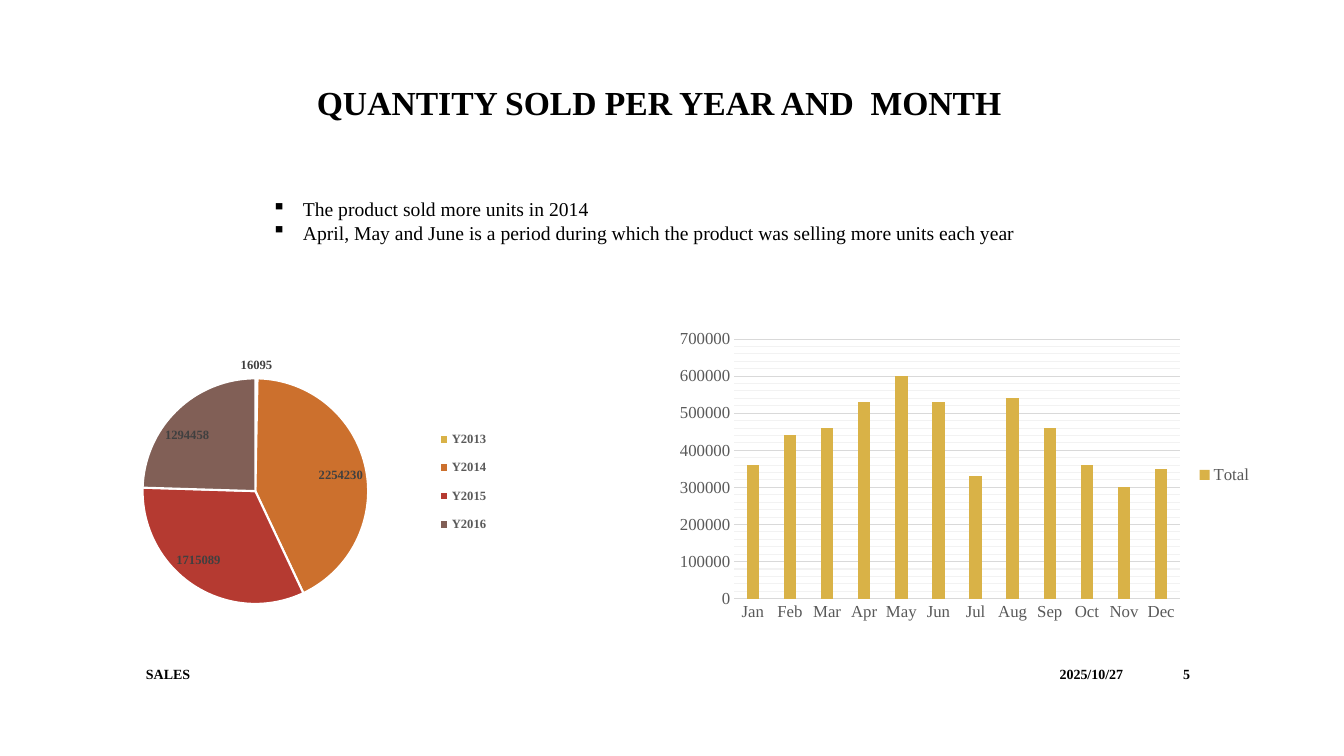
import pptx
import pptx.chart.data
import pptx.dml.color
import pptx.enum.chart
import pptx.enum.text
import pptx.oxml
import pptx.oxml.ns
import pptx.util

FONT = "Times New Roman"
BLACK, GREY, LABEL = "000000", "595959", "404040"
MAJOR, MINOR, WHITE = "D9D9D9", "F2F2F2", "FFFFFF"
GOLD = "D9B247"

TITLE = "QUANTITY SOLD PER YEAR AND  MONTH"
FINDINGS = [
    "The product sold more units in 2014",
    "April, May and June is a period during which the product was selling more units each year",
]
YEARS = [  # year, units, slice colour
    ("Y2013", 16095, GOLD),
    ("Y2014", 2254230, "CC702D"),
    ("Y2015", 1715089, "B53A31"),
    ("Y2016", 1294458, "815F56"),
]
MONTHS = {
    "Jan": 360000, "Feb": 440000, "Mar": 460000, "Apr": 530000,
    "May": 600000, "Jun": 530000, "Jul": 330000, "Aug": 540000,
    "Sep": 460000, "Oct": 360000, "Nov": 300000, "Dec": 350000,
}
FOOTER = [  # text, left, width, right aligned
    ("2025/10/27", 957, 176, True),
    ("SALES", 136, 805, False),
    ("5", 1141, 59, True),
]
FOOTER_TOP, FOOTER_HEIGHT = 658, 31
CHART_WIDTH, CHART_HEIGHT = 594, 302
BULLET_INDENT = 31


def px(length):
    return pptx.util.Emu(round(length * 914400 / 100.8))


def color(value):
    return pptx.dml.color.RGBColor.from_string(value)


def style(font, size, value, bold=False):
    font.name, font.size, font.bold = FONT, pptx.util.Pt(size), bold
    font.color.rgb = color(value)


def stroke(line, value, width=0.75):
    line.color.rgb = color(value)
    line.width = pptx.util.Pt(width)


def add_text(lines, area, size, bold=False, bullet=None):
    box = page.shapes.add_textbox(*map(px, area))
    frame = box.text_frame
    frame.word_wrap = True
    frame.text = "\n".join(lines)
    for para in frame.paragraphs:
        if bullet:
            props = para._p.get_or_add_pPr()
            props.set("marL", str(px(BULLET_INDENT)))
            props.set("indent", str(px(-BULLET_INDENT)))
            mark = pptx.oxml.parse_xml(
                f'<a:buChar {pptx.oxml.ns.nsdecls("a")} char="{bullet}"/>')
            props.append(mark)
        for span in para.runs:
            style(span.font, size, BLACK, bold)
    return frame


def manual_layout(x, y, width, height, inner=False):
    target = '<c:layoutTarget val="inner"/>' if inner else ""
    return pptx.oxml.parse_xml(
        f'<c:layout {pptx.oxml.ns.nsdecls("c")}><c:manualLayout>{target}'
        '<c:xMode val="edge"/><c:yMode val="edge"/>'
        f'<c:x val="{x}"/><c:y val="{y}"/><c:w val="{width}"/><c:h val="{height}"/>'
        '</c:manualLayout></c:layout>')


def add_chart(kind, left, top, name, categories, values, plot_area, legend_size, bold):
    data = pptx.chart.data.CategoryChartData(number_format="General")
    data.categories = categories
    data.add_series(name, values)
    area = map(px, (left, top, CHART_WIDTH, CHART_HEIGHT))
    chart = page.shapes.add_chart(kind, *area, data).chart
    chart.has_title = False
    style(chart.font, 10, BLACK)
    chart.has_legend = True
    chart.legend.position = pptx.enum.chart.XL_LEGEND_POSITION.RIGHT
    chart.legend.include_in_layout = False
    style(chart.legend.font, legend_size, GREY, bold)
    # Fixed plot area
    plot_xml = chart._chartSpace.chart.plotArea
    for layout in plot_xml.findall(pptx.oxml.ns.qn("c:layout")):
        plot_xml.remove(layout)
    plot_xml.insert(0, manual_layout(*plot_area, inner=True))
    return chart


deck = pptx.Presentation()
deck.slide_width, deck.slide_height = px(1344), px(756)
page = deck.slides.add_slide(deck.slide_layouts[6])

# Footer
for text, left, width, right in FOOTER:
    frame = add_text([text], (left, FOOTER_TOP, width, FOOTER_HEIGHT), 10, bold=True)
    frame.vertical_anchor = pptx.enum.text.MSO_ANCHOR.MIDDLE
    if right:
        frame.paragraphs[0].alignment = pptx.enum.text.PP_ALIGN.RIGHT

# Title and findings
add_text([TITLE], (307, 77, 793, 50), 24, bold=True)
add_text(FINDINGS, (262, 192, 838, 57), 14, bullet="▪")

# Units per month
chart_types = pptx.enum.chart.XL_CHART_TYPE
monthly = add_chart(chart_types.COLUMN_CLUSTERED, 669, 324, "Total", list(MONTHS),
                    list(MONTHS.values()), (0.11, 0.05, 0.75, 0.86), 12, False)
columns = monthly.plots[0]
columns.gap_width = 199
columns.vary_by_categories = False
fill = columns.series[0].format.fill
fill.solid()
fill.fore_color.rgb = color(GOLD)
for axis in (monthly.category_axis, monthly.value_axis):
    axis.major_tick_mark = axis.minor_tick_mark = pptx.enum.chart.XL_TICK_MARK.NONE
    style(axis.tick_labels.font, 12, GREY)
stroke(monthly.category_axis.format.line, MAJOR)
units = monthly.value_axis
units.minimum_scale, units.maximum_scale = 0, 700000
units.major_unit, units.minor_unit = 100000, 20000
units.has_major_gridlines = units.has_minor_gridlines = True
units.format.line.fill.background()
stroke(units.major_gridlines.format.line, MAJOR)
minor_grid = units._element.find(pptx.oxml.ns.qn("c:minorGridlines"))
minor_grid.append(pptx.oxml.parse_xml(
    f'<c:spPr {pptx.oxml.ns.nsdecls("c", "a")}><a:ln w="{pptx.util.Pt(0.75)}">'
    f'<a:solidFill><a:srgbClr val="{MINOR}"/></a:solidFill></a:ln></c:spPr>'))

# Units per year
names, amounts, slice_colors = zip(*YEARS)
yearly = add_chart(chart_types.PIE, 0, 334, "Series 1", names, amounts,
                   (0.24, 0.147, 0.38, 0.747), 9, True)
legend_xml = yearly.legend._element
legend_xml.find(pptx.oxml.ns.qn("c:legendPos")).addnext(
    manual_layout(0.72, 0.28, 0.12, 0.42))
pie = yearly.plots[0]
pie.vary_by_categories = True
for index, value in enumerate(slice_colors):
    part = pie.series[0].points[index].format
    part.fill.solid()
    part.fill.fore_color.rgb = color(value)
    stroke(part.line, WHITE, 1.5)
pie.has_data_labels = True
labels = pie.data_labels
labels.show_value = True
labels.show_percentage = False
labels.position = pptx.enum.chart.XL_LABEL_POSITION.BEST_FIT
style(labels.font, 9, LABEL, True)

deck.save("out.pptx")
